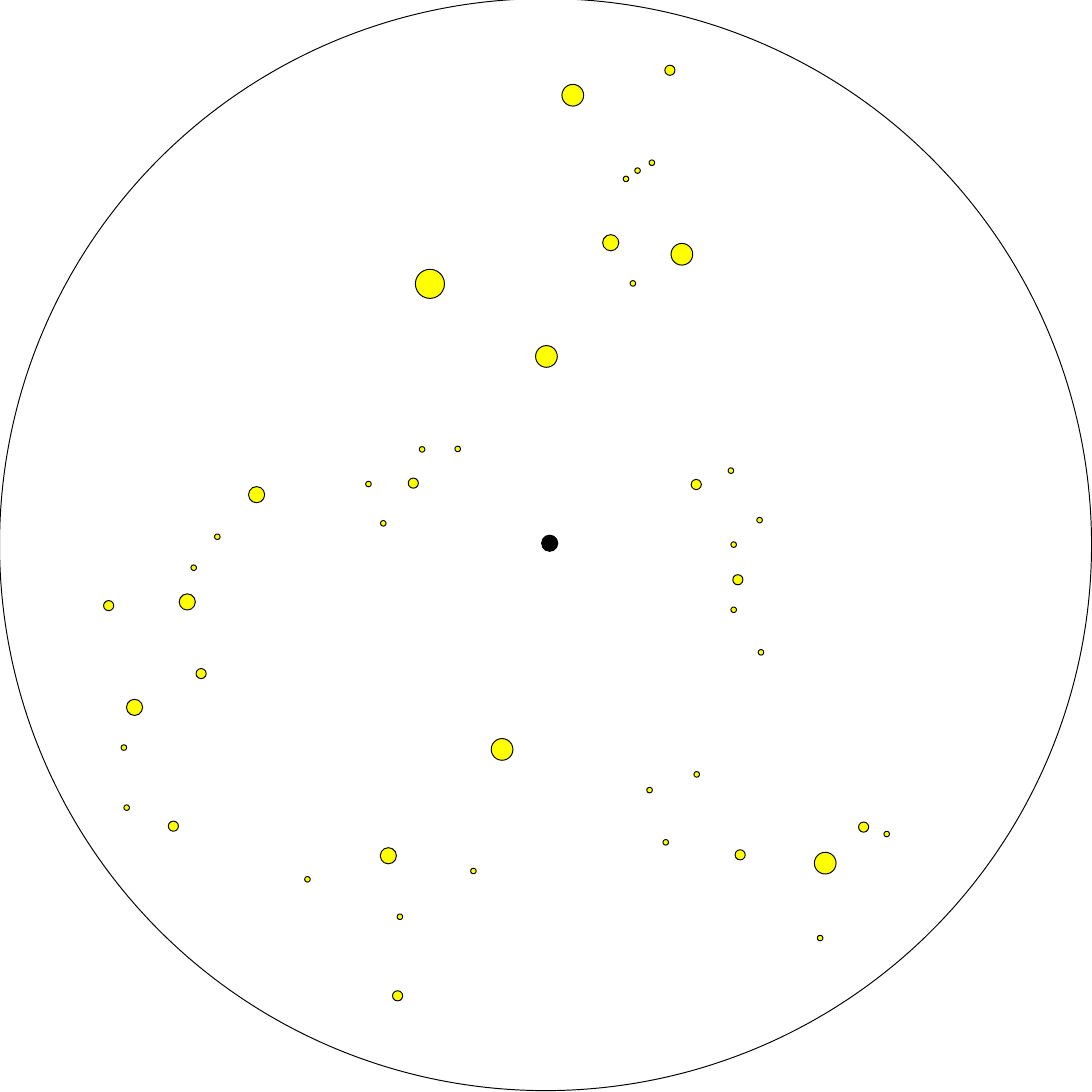
from typing import NamedTuple

from pptx import Presentation
from pptx import util as u
from pptx.dml.color import RGBColor
from pptx.enum import shapes

CELL = u.Inches(1)  # one column or row of the sky grid
SIDE = 23.62
BLACK, YELLOW = "000000", "FFFF00"


class Disc(NamedTuple):
    """A circle given by its centre column, centre row and diameter in cells."""
    col: float
    row: float
    size: float
    fill: str | None = YELLOW


HORIZON = Disc(11.8, 11.78, SIDE, None)
POLE = Disc(11.89, 11.75, 0.35, BLACK)

# Star centres by diameter, brightest first
STARS = {
    0.63: [(9.3, 6.14)],
    0.47: [(11.82, 7.71), (10.86, 16.21), (12.39, 2.06), (14.75, 5.5),
           (17.85, 18.67)],
    0.35: [(8.4, 18.51), (2.91, 15.3), (4.05, 13.02), (5.55, 10.7),
           (13.21, 5.25)],
    0.22: [(8.6, 21.54), (3.75, 17.87), (2.35, 13.1), (4.35, 14.57),
           (14.49, 1.52), (8.94, 10.45), (15.06, 10.48), (15.96, 12.54),
           (18.68, 17.89), (16.01, 18.49)],
    0.12: [(8.65, 19.83), (6.65, 19.02), (10.24, 18.84), (2.68, 16.17),
           (2.74, 17.47), (4.19, 12.28), (4.7, 11.61), (14.1, 3.52),
           (13.79, 3.69), (13.54, 3.87), (13.69, 6.13), (9.9, 9.71),
           (9.13, 9.72), (7.97, 10.47), (8.29, 11.32), (15.81, 10.18),
           (16.43, 11.25), (15.87, 11.78), (15.87, 13.19), (16.46, 14.11),
           (15.07, 16.75), (14.05, 17.09), (14.4, 18.22), (19.18, 18.04),
           (17.74, 20.29)],
}


def rgb(colour: str) -> RGBColor:
    return RGBColor.from_string(colour)


def cells(count: float) -> int:
    return round(count * CELL)


def draw_disc(chart, disc: Disc) -> None:
    left, top = disc.col - disc.size / 2, disc.row - disc.size / 2
    sp = chart.shapes.add_shape(shapes.MSO_SHAPE.OVAL, cells(left), cells(top),
                                cells(disc.size), cells(disc.size))
    sp.shadow.inherit = False
    if disc.fill is None:
        sp.fill.background()
    else:
        sp.fill.solid()
        sp.fill.fore_color.rgb = rgb(disc.fill)
    sp.line.color.rgb = rgb(BLACK)
    sp.line.width = u.Pt(1.5)


def main() -> None:
    prs = Presentation()
    prs.slide_width = prs.slide_height = cells(SIDE)
    s = prs.slides.add_slide(prs.slide_layouts[6])
    star_chart = s.shapes.add_group_shape()
    stars = [Disc(col, row, size)
             for size, centres in STARS.items() for col, row in centres]
    for disc in [HORIZON, POLE, *stars]:
        draw_disc(star_chart, disc)
    prs.save("out.pptx")


if __name__ == "__main__":
    main()
